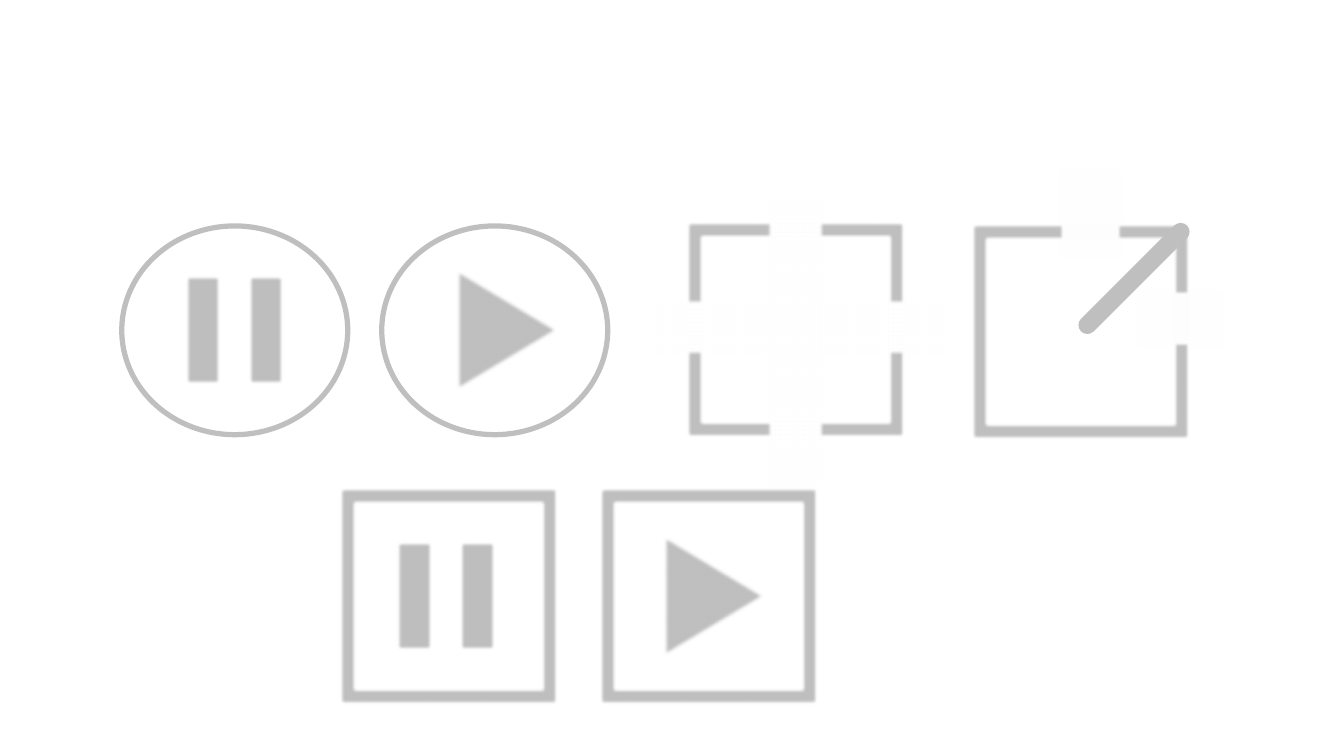
from dataclasses import dataclass

from lxml import etree
from pptx import Presentation, util as u
from pptx.dml import color
from pptx.enum import shapes
from pptx.oxml import ns


@dataclass(frozen=True)
class Theme:
    """Colours, line widths in points and the size of a grid unit."""
    grey: str = "BFBFBF"
    white: str = "FFFFFF"
    ring: float = 3.75
    frame: float = 13.75
    arrow: float = 12.75
    soft: float = 2.5
    columns: int = 32
    rows: int = 18


@dataclass(frozen=True)
class Box:
    """A rectangle in grid columns and rows."""
    left: float
    top: float
    width: float
    height: float

    def centred(self, width, height, right=0, down=0):
        """Return a box of this size about the centre, shifted if asked."""
        return Box(self.left + (self.width - width) / 2 + right,
                   self.top + (self.height - height) / 2 + down, width, height)


THEME = Theme()
KIND = shapes.MSO_SHAPE
deck = Presentation()
deck.slide_width, deck.slide_height = u.Inches(13.333), u.Inches(7.5)
slide = deck.slides.add_slide(deck.slide_layouts[6])


def across(columns):
    """Turn grid columns into a slide length."""
    return round(columns * deck.slide_width / THEME.columns)


def down_to(rows):
    """Turn grid rows into a slide length."""
    return round(rows * deck.slide_height / THEME.rows)


def child(parent, tag, **attributes):
    """Add a DrawingML element to a parent."""
    return etree.SubElement(parent, ns.qn(tag), attributes)


def draw(kind, box, fill=None, width=None, soft=True, turn=0):
    """Draw a filled or outlined preset shape in a box."""
    shape = slide.shapes.add_shape(kind, across(box.left), down_to(box.top),
                                   across(box.width), down_to(box.height))
    shape.shadow.inherit = False
    shape.rotation = turn
    if fill:
        shape.fill.solid()
        shape.fill.fore_color.rgb = color.RGBColor.from_string(fill)
    else:
        shape.fill.background()
    if width:
        shape.line.width = u.Pt(width)
        shape.line.color.rgb = color.RGBColor.from_string(THEME.grey)
        child(shape.line._get_or_add_ln(), "a:miter", lim="800000")
    else:
        shape.line.fill.background()
    if soft:
        effects = shape._element.spPr.find(ns.qn("a:effectLst"))
        child(effects, "a:softEdge", rad=str(u.Pt(THEME.soft)))


def ring(box):
    """Draw the round button outline."""
    draw(KIND.OVAL, box, width=THEME.ring, soft=False)


def frame(box):
    """Draw the square button outline."""
    draw(KIND.RECTANGLE, box, width=THEME.frame)


def pause(box, outline, nudge=0):
    """Draw a pause button: an outline around two bars."""
    outline(box)
    for side in (-1, 1):
        draw(KIND.RECTANGLE, box.centred(0.89, 2.64, nudge + side * 0.75),
             fill=THEME.grey)


def play(box, outline, nudge):
    """Draw a play button: an outline around a triangle pointing right."""
    outline(box)
    draw(KIND.ISOSCELES_TRIANGLE, box.centred(3.02, 2.52, nudge),
         fill=THEME.grey, turn=90)


def gapped_frame(box, gaps):
    """Draw a square outline interrupted by white gaps."""
    frame(box)
    for gap in gaps:
        draw(KIND.RECTANGLE, box.centred(*gap), fill=THEME.white)


def full_screen(box):
    """Draw four corners by cutting a cross out of a square."""
    gapped_frame(box, [(6.96, 1.42, 0.11, -0.06), (1.42, 6.96, -0.01, 0.32)])


def pop_out(box):
    """Draw an open square with a diagonal stroke leaving its corner."""
    gapped_frame(box, [(1.56, 2.16, 0.25, -2.8), (2.16, 1.44, 2.39, -0.31)])
    corner, reach = box.left + box.width, 2.22
    stroke = slide.shapes.add_connector(
        shapes.MSO_CONNECTOR.STRAIGHT, across(corner), down_to(box.top),
        across(corner - reach), down_to(box.top + reach))
    stroke.line.width = u.Pt(THEME.arrow)
    stroke.line.color.rgb = color.RGBColor.from_string(THEME.grey)
    stroke.line._get_or_add_ln().set("cap", "rnd")
    child(stroke._element.spPr, "a:effectLst")


def media_buttons(round_left, square_left, round_top, square_top, pitch):
    """Draw pause and play side by side, in a round and a square row."""
    rounds, squares = ([Box(left + step * pitch, top, *size) for step in (0, 1)]
                       for left, top, size in (
                           (round_left, round_top, (5.38, 4.97)),
                           (square_left, square_top, (4.78, 4.75))))
    pause(rounds[0], ring)
    play(rounds[1], ring, 0.36)
    pause(squares[0], frame, -0.07)
    play(squares[1], frame, 0.18)


media_buttons(2.9, 8.3, 5.38, 11.81, 6.19)
full_screen(Box(16.56, 5.47, 4.78, 4.75))
pop_out(Box(23.33, 5.52, 4.78, 4.75))
deck.save("out.pptx")
